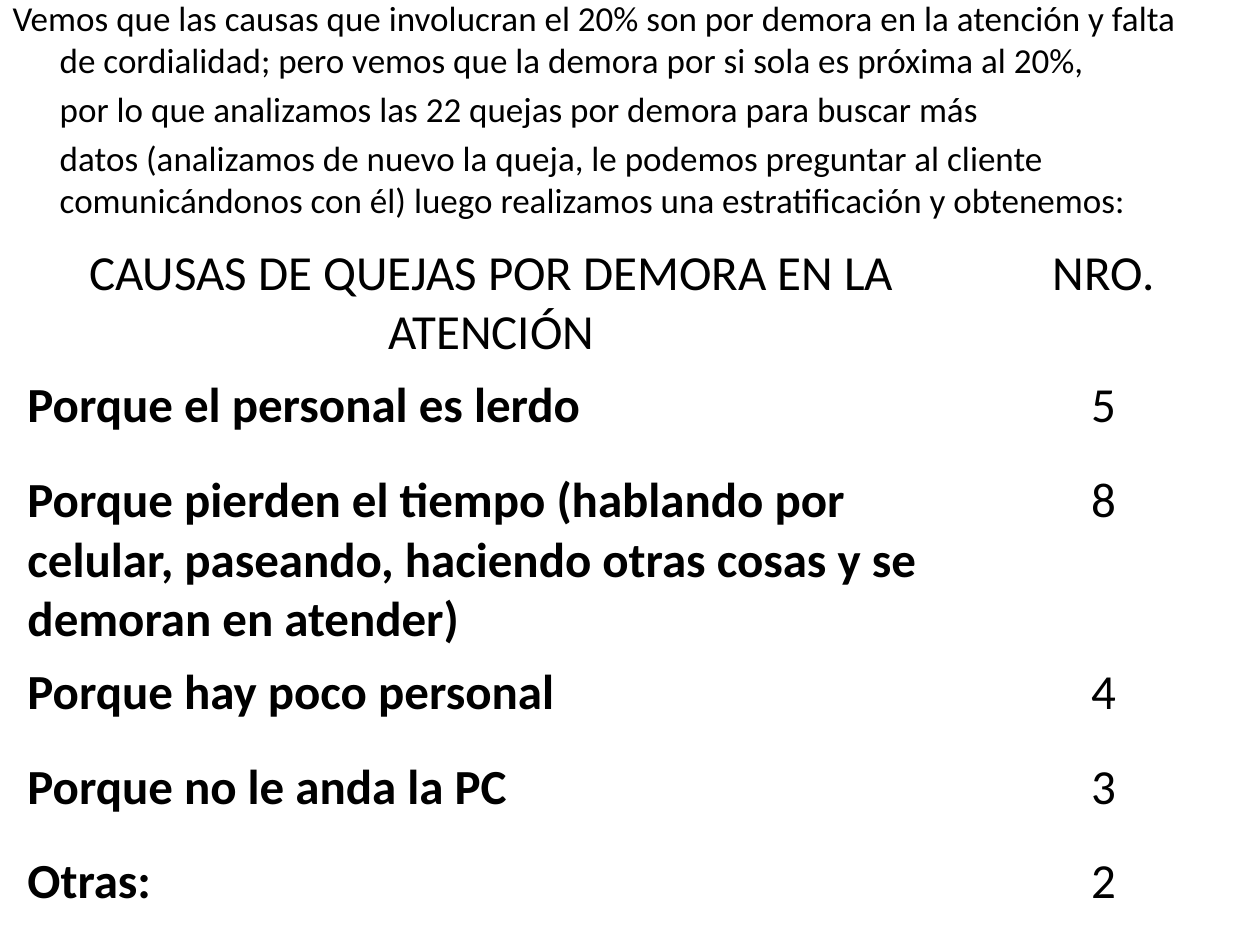
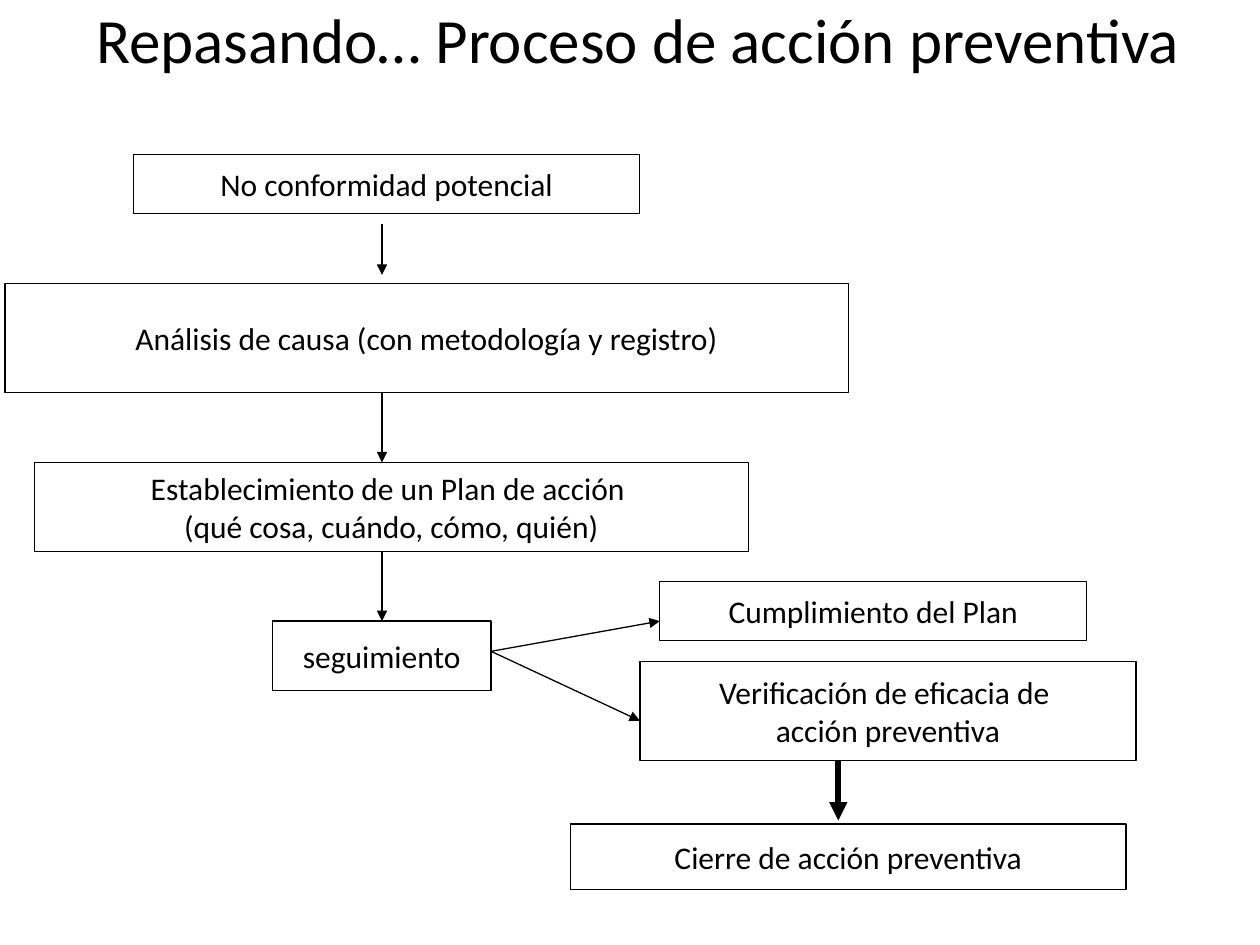
from pptx import Presentation
from pptx import util as u
from pptx.dml.color import RGBColor
from pptx.enum import shapes, text
from pptx.oxml.ns import qn
from lxml import etree

# Shared style
COLOURS = {"ink": "000000", "paper": "FFFFFF"}
INK = RGBColor.from_string(COLOURS["ink"])
PAPER = RGBColor.from_string(COLOURS["paper"])
LEFT, CENTRE = text.PP_ALIGN.LEFT, text.PP_ALIGN.CENTER
THIN, THICK = 0.75, 3.5


def write(frame, lines, size, align=CENTRE, bold=False):
    """Fill a text frame with one paragraph per line."""
    frame.text = "\n".join(lines)
    formats = {"name": "Calibri", "size": u.Pt(size), "bold": bold}
    for para in frame.paragraphs:
        para.alignment = align
        for span in para.runs:
            for key, value in formats.items():
                setattr(span.font, key, value)
            span.font.color.rgb = INK


def place(item, left, top, width, height):
    """Set position and size in centimetres."""
    values = {"left": left, "top": top, "width": width, "height": height}
    for key, value in values.items():
        setattr(item, key, u.Cm(value))


deck = Presentation()
deck.slide_width, deck.slide_height = u.Cm(25.4), u.Cm(19.05)

# Slide 1: introduction
page = deck.slides.add_slide(deck.slide_layouts.get_by_name("Title and Content"))
title = page.shapes.title.element
title.getparent().remove(title)
body = page.placeholders[1]
place(body, 0, -0.2, 24.2, 5.8)
frame = body.text_frame
write(frame, [
    "Vemos que las causas que involucran el 20% son por demora en la atención y falta "
    "de cordialidad; pero vemos que la demora por si sola es próxima al 20%, ",
    "por lo que analizamos las 22 quejas por demora para buscar más ",
    "datos (analizamos de nuevo la queja, le podemos preguntar al cliente "
    "comunicándonos con él) luego realizamos una estratificación y obtenemos:",
], 20, LEFT)
frame.auto_size = text.MSO_AUTO_SIZE.NONE
for number, para in enumerate(frame.paragraphs):
    para.space_before = u.Pt(4)
    props = para._p.get_or_add_pPr()
    props.set("marL", str(u.Cm(0.95)))
    props.set("indent", str(0 if number else -u.Cm(0.95)))
    etree.SubElement(props, qn("a:buNone"))

# Slide 1: table of causes
CAUSES = [
    ("CAUSAS DE QUEJAS POR DEMORA EN LA ATENCIÓN", "NRO."),
    ("Porque el personal es lerdo", "5"),
    ("Porque pierden el tiempo (hablando por celular, paseando, "
     "haciendo otras cosas y se demoran en atender)", "8"),
    ("Porque hay poco personal", "4"),
    ("Porque no le anda la PC", "3"),
    ("Otras:", "2"),
]
ROW_HEIGHT = 1.91
table = page.shapes.add_table(len(CAUSES), 2, u.Cm(0.3), u.Cm(4.78), u.Cm(24.7),
                              u.Cm(ROW_HEIGHT * len(CAUSES))).table
for column, width in zip(table.columns, (19.2, 5.5)):
    column.width = u.Cm(width)
for row, entries in enumerate(CAUSES):
    for column, entry in enumerate(entries):
        cell = table.cell(row, column)
        cell.fill.solid()
        cell.fill.fore_color.rgb = PAPER
        is_cause = row > 0 and column == 0
        write(cell.text_frame, [entry], 28, LEFT if is_cause else CENTRE, is_cause)

# Slide 2: title
page = deck.slides.add_slide(deck.slide_layouts.get_by_name("Title Only"))
title = page.shapes.title
place(title, 0.3, -0.4, 25.4, 2.36)
write(title.text_frame, ["Repasando… Proceso de acción preventiva "], 36)
title.text_frame.auto_size = text.MSO_AUTO_SIZE.NONE
title.text_frame.vertical_anchor = text.MSO_ANCHOR.MIDDLE

# Slide 2: steps of the process (left, top, width, height, lines)
STEPS = [
    (2.69, 3.12, 10.21, 1.19, ["No conformidad potencial"]),
    (0.1, 5.72, 17, 2.2, ["Análisis de causa (con metodología y registro)"]),
    (0.69, 9.32, 14.4, 1.8, ["Establecimiento de un Plan de acción ",
                             "(qué cosa, cuándo, cómo, quién)"]),
    (5.49, 12.52, 4.41, 1.4, ["seguimiento"]),
    (13.3, 11.73, 8.61, 1.19, ["Cumplimiento del Plan"]),
    (12.9, 13.33, 10, 2, ["Verificación de eficacia de ", "acción preventiva"]),
    (11.5, 16.61, 11.2, 1.32, ["Cierre de acción preventiva"]),
]
for left, top, width, height, lines in STEPS:
    box = page.shapes.add_shape(shapes.MSO_SHAPE.RECTANGLE, u.Cm(left), u.Cm(top),
                                u.Cm(width), u.Cm(height))
    box.shadow.inherit = False
    box.fill.background()
    box.line.color.rgb = INK
    box.line.width = u.Pt(THIN)
    write(box.text_frame, lines, 18)
    box.text_frame.word_wrap = False
    box.text_frame.vertical_anchor = text.MSO_ANCHOR.MIDDLE

# Slide 2: arrows (start x, start y, end x, end y, weight)
ARROWS = [
    (7.7, 4.52, 7.7, 5.54, THIN),
    (7.7, 7.92, 7.7, 9.32, THIN),
    (7.7, 11.12, 7.7, 12.52, THIN),
    (9.9, 13.13, 13.3, 12.52, THIN),
    (9.9, 13.13, 12.9, 14.53, THIN),
    (16.9, 15.33, 16.9, 16.54, THICK),
]
for *ends, weight in ARROWS:
    arrow = page.shapes.add_connector(shapes.MSO_CONNECTOR.STRAIGHT,
                                      *[u.Cm(value) for value in ends])
    arrow.line.color.rgb = INK
    arrow.line.width = u.Pt(weight)
    etree.SubElement(arrow.line._get_or_add_ln(), qn("a:tailEnd"), type="triangle")
    etree.SubElement(arrow._element.spPr, qn("a:effectLst"))

deck.save("out.pptx")
